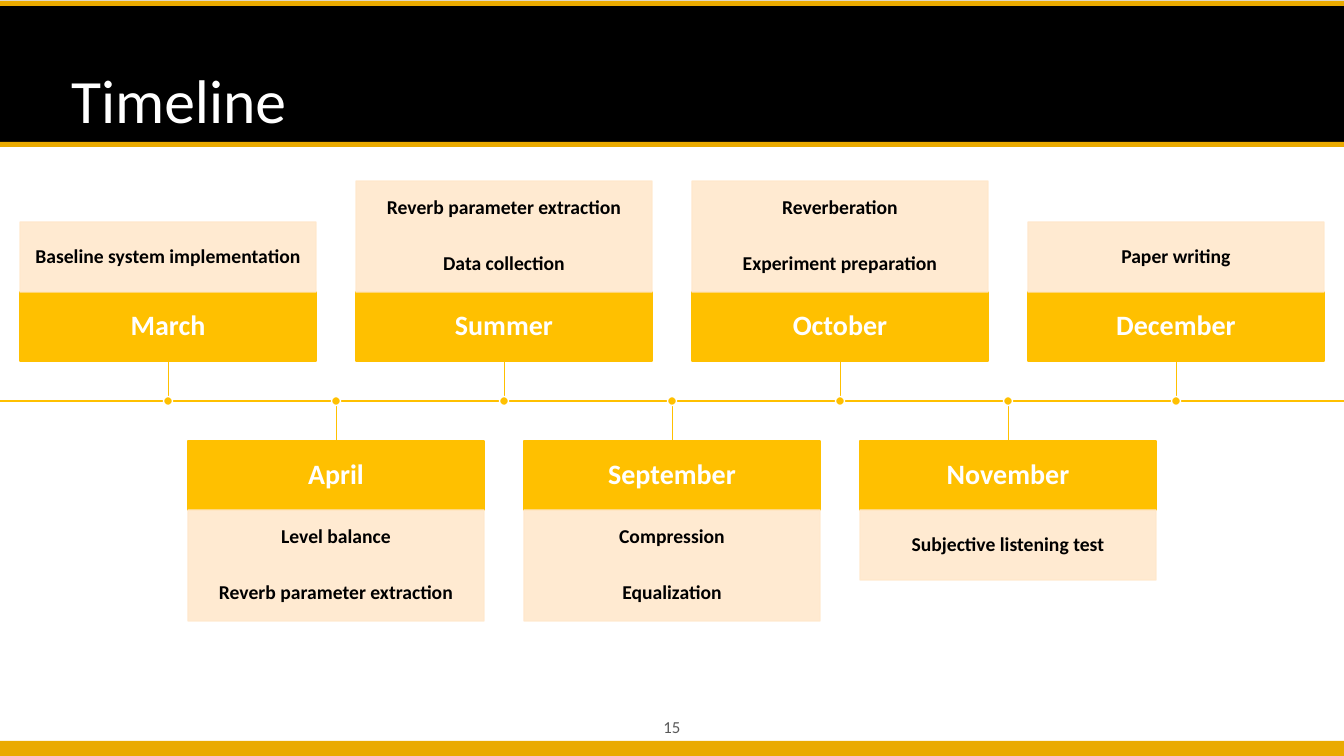
from lxml import etree
from pptx import Presentation
from pptx.dml.color import RGBColor
from pptx.enum.shapes import MSO_CONNECTOR, MSO_SHAPE
from pptx.enum.text import MSO_ANCHOR, PP_ALIGN
from pptx.oxml.ns import qn
from pptx.util import Pt

RECT, OVAL, STRAIGHT = MSO_SHAPE.RECTANGLE, MSO_SHAPE.OVAL, MSO_CONNECTOR.STRAIGHT
LEFT, CENTER = PP_ALIGN.LEFT, PP_ALIGN.CENTER
MIDDLE, BOTTOM = MSO_ANCHOR.MIDDLE, MSO_ANCHOR.BOTTOM

HEADING = "Timeline"
PAGE = "15"
MILESTONES = [
    ("March", ["Baseline system implementation"]),
    ("April", ["Level balance", "Reverb parameter extraction"]),
    ("Summer", ["Reverb parameter extraction", "Data collection"]),
    ("September", ["Compression", "Equalization"]),
    ("October", ["Reverberation", "Experiment preparation"]),
    ("November", ["Subjective listening test"]),
    ("December", ["Paper writing"]),
]
COLORS = {"black": "000000", "white": "FFFFFF", "gold": "EAAA00",
          "amber": "FFC000", "cream": "FFE8CC", "gray": "595959"}
BANDS = [(1, 146, "black"), (741, 15, "gold"), (142, 5, "gold"), (1, 5, "gold")]

FONT = "Calibri"
WIDTH, HEIGHT = 1344, 756
EMU_PER_PX = 12192000 / WIDTH
AXIS_Y, STEM, DOT = 401, 40, 9
CARD_W, MONTH_H = 296, 69
TASK_H = {1: 70, 2: 111}
STEP = WIDTH // (len(MILESTONES) + 1)


def px(value):
    return round(value * EMU_PER_PX)


def color(name):
    return RGBColor.from_string(COLORS[name])


def set_alpha(fill_parent):
    tint = fill_parent.find(qn("a:solidFill"))[0]
    etree.SubElement(tint, qn("a:alpha")).set("val", "90000")


def add_block(kind, left, top, width, height, fill, outline=None):
    block = slide.shapes.add_shape(kind, px(left), px(top), px(width), px(height))
    block.shadow.inherit = False
    block.fill.solid()
    block.fill.fore_color.rgb = color(fill)
    if outline:
        block.line.color.rgb = color(outline)
        block.line.width = Pt(1)
    else:
        block.line.fill.background()
    return block


def add_rule(x1, y1, x2, y2, weight):
    rule = slide.shapes.add_connector(STRAIGHT, px(x1), px(y1), px(x2), px(y2))
    rule.line.color.rgb = color("amber")
    rule.line.width = Pt(weight)
    etree.SubElement(rule._element.spPr, qn("a:effectLst"))


def write(holder, lines, size, ink, bold=False, align=CENTER, anchor=MIDDLE, gap=0):
    frame = holder.text_frame
    frame.text = "\n".join(lines)
    frame.word_wrap = True
    frame.vertical_anchor = anchor
    for index, paragraph in enumerate(frame.paragraphs):
        paragraph.alignment = align
        paragraph.line_spacing = 0.9
        paragraph.space_before = Pt(gap if index else 0)
        for run in paragraph.runs:
            run.font.name = FONT
            run.font.size = Pt(size)
            run.font.bold = bold
            run.font.color.rgb = color(ink)


def add_milestone(index, month, tasks):
    center = STEP * (index + 1)
    left = center - CARD_W / 2
    task_h = TASK_H[len(tasks)]
    if index % 2 == 0:
        stem_end = AXIS_Y - STEM
        month_top = stem_end - MONTH_H
        task_top = month_top - task_h
    else:
        stem_end = month_top = AXIS_Y + STEM
        task_top = month_top + MONTH_H

    month_card = add_block(RECT, left, month_top, CARD_W, MONTH_H, "amber", "amber")
    write(month_card, [month], 20, "white", bold=True)

    task_card = add_block(RECT, left, task_top, CARD_W, task_h, "cream", "cream")
    properties = task_card._element.spPr
    set_alpha(properties)
    set_alpha(properties.find(qn("a:ln")))
    write(task_card, tasks, 14, "black", bold=True, gap=25)

    add_rule(center, AXIS_Y, center, stem_end, 0.5)
    add_block(OVAL, center - DOT / 2, AXIS_Y - DOT / 2, DOT, DOT, "amber", "white")


deck = Presentation()
deck.slide_width, deck.slide_height = px(WIDTH), px(HEIGHT)
slide = deck.slides.add_slide(deck.slide_layouts[5])

for band_top, band_h, band_fill in BANDS:
    add_block(RECT, 0, band_top, WIDTH, band_h, band_fill)

title = slide.shapes.title
title.left, title.top, title.width, title.height = px(61), px(15), px(1221), px(127)
write(title, [HEADING], 44, "white", align=LEFT, anchor=BOTTOM)
slide.shapes._spTree.append(title._element)

page_number = slide.shapes.add_textbox(px(516), px(712), px(312), px(30))
write(page_number, [PAGE], 12, "gray", anchor=BOTTOM)

add_rule(0, AXIS_Y, WIDTH, AXIS_Y, 1)
for order, (month_name, month_tasks) in enumerate(MILESTONES):
    add_milestone(order, month_name, month_tasks)

deck.save("out.pptx")
